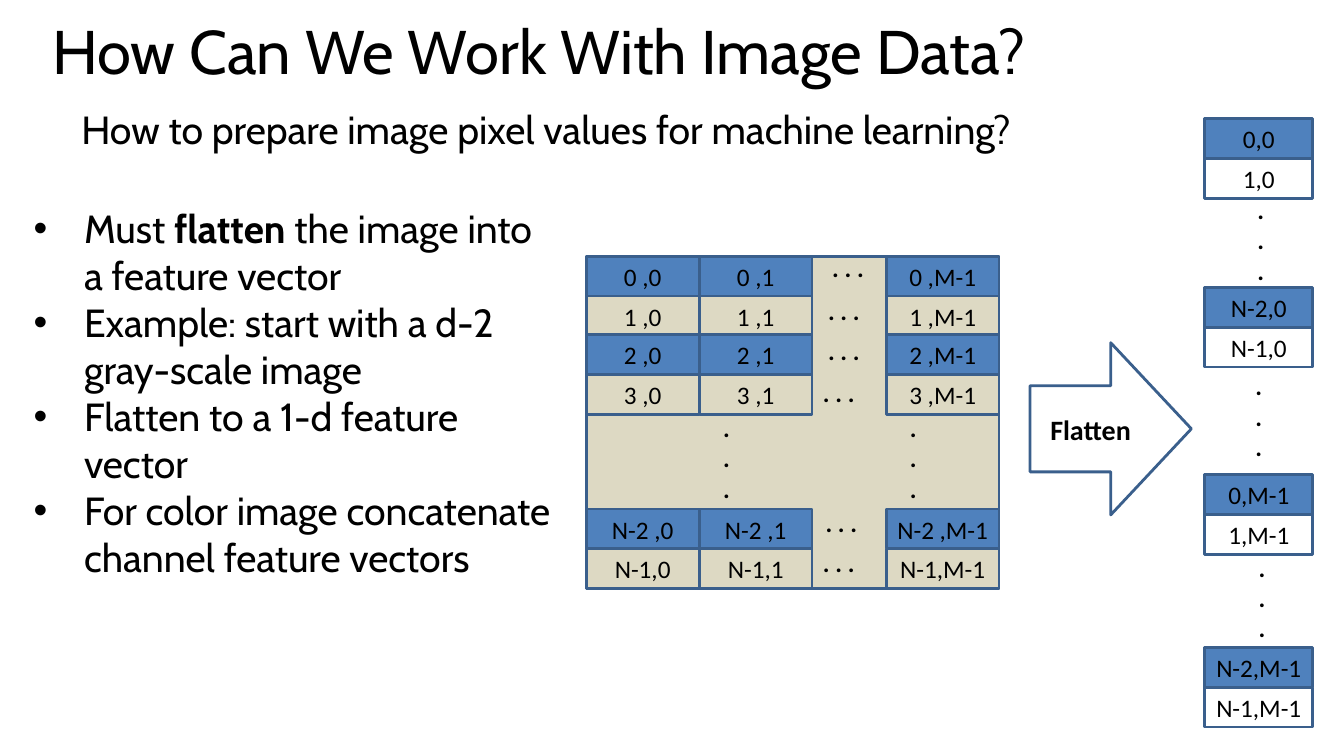
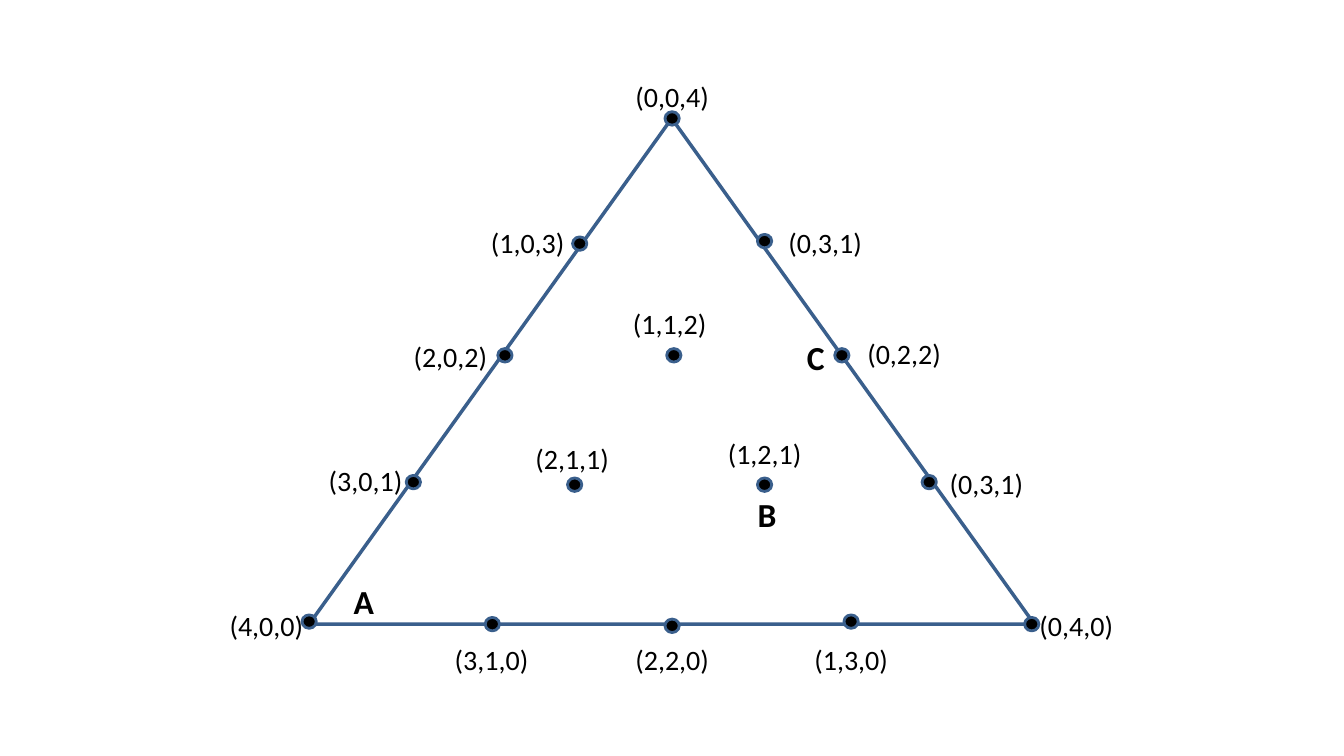
"""Builds two slides: flattening image data and a triangle of index triples."""
from dataclasses import dataclass
from itertools import product

from pptx import Presentation
from pptx import util as u
from pptx.dml.color import RGBColor
from pptx.enum import shapes, text


@dataclass(frozen=True)
class Theme:
    """Holds the colours, fonts, type sizes and line widths."""
    blue: str = "4F81BD"
    outline: str = "3A5F8C"
    sand: str = "DDD9C3"
    black: str = "000000"
    heading_font: str = "Cabin"
    label_font: str = "Calibri"
    title: int = 44
    body: int = 28
    letter: int = 24
    label: int = 20
    cell: int = 18
    line: float = 2
    thick: float = 2.5


THEME = Theme()
GRID = u.Inches(1 / 12)
CELL_HEIGHT = 4.75
MATRIX_LEFTS = (69.8, 83.25, 105.5)
MATRIX_WIDTH = 13.4
MATRIX_PAIR_TOPS = (30.5, 39.85, 60.6)
MATRIX_ROWS = (("0 ,", "1 ,"), ("2 ,", "3 ,"), ("N-2 ,", "N-1,"))
MATRIX_COLUMNS = ("0", "1", "M-1")
ROW_DOTS = ((96.6, 29.5), (96.1, 34.55), (96.1, 39.35),
            (95.5, 44.3), (95.8, 59.75), (95.5, 64.55))
VECTOR_LEFT, VECTOR_WIDTH = 143.4, 12.85
VECTOR_PAIR_TOPS = (14.15, 34.2, 56.5, 77.05)
VECTOR_ROWS = (("0,", "1,"), ("N-2,", "N-1,"))
COLUMN_DOTS = ((86.45, 48.5), (108.7, 48.5), (150.05, 22.55),
               (149.8, 43.55), (150.2, 65.15))
BULLETS = (
    (("Must ", False), ("flatten", True),
     (" the image into a feature vector", False)),
    (("Example: start with a d-2 gray-scale image", False),),
    (("Flatten to a 1-d feature vector", False),),
    (("For color image concatenate channel feature vectors", False),),
)
POINTS = (
    ("(0,0,4)", (80, 14.1), (80, 11.5)),
    ("(1,0,3)", (69, 29), (62.8, 28.8)),
    ("(2,0,2)", (60.1, 42.3), (53.6, 42.4)),
    ("(3,0,1)", (49.2, 57.4), (43.5, 57.2)),
    ("(4,0,0)", (36.8, 74), (31.7, 74.4)),
    ("(3,1,0)", (58.6, 74.3), (58.5, 78.5)),
    ("(2,2,0)", (80, 74.5), (80, 78.5)),
    ("(1,3,0)", (101.3, 74), (101.3, 78.5)),
    ("(0,4,0)", (122.8, 74.3), (128.1, 74.4)),
    ("(0,3,1)", (110.6, 57.4), (117.4, 57.5)),
    ("(0,2,2)", (100.2, 42.3), (107.6, 42.1)),
    ("(0,3,1)", (91, 28.7), (98.2, 28.8)),
    ("(1,1,2)", (80.2, 42.3), (79.7, 38.5)),
    ("(2,1,1)", (68.4, 57.7), (68.1, 54.6)),
    ("(1,2,1)", (91, 57.7), (91, 54)),
)
LETTERS = (("A", (43.3, 71.5)), ("B", (91.3, 61.2)), ("C", (97.1, 42.5)))


def place(left, top, width, height):
    """Turns grid columns and rows into lengths."""
    return [round(value * GRID) for value in (left, top, width, height)]


def around(centre, width, height):
    """Returns the grid box of a given size around a centre."""
    return centre[0] - width / 2, centre[1] - height / 2, width, height


def format_runs(frame, size, font, bold=None):
    """Gives every run of a text frame its font, size and colour."""
    for paragraph in frame.paragraphs:
        for run in paragraph.runs:
            run.font.name = font
            run.font.size = u.Pt(size)
            run.font.color.rgb = RGBColor.from_string(THEME.black)
            if bold is not None:
                run.font.bold = bold


def write(frame, words, size, font, bold=False,
          align=text.PP_ALIGN.CENTER, anchor=text.MSO_ANCHOR.MIDDLE):
    """Fills a text frame and aligns it."""
    frame.text = words
    frame.word_wrap = True
    frame.auto_size = text.MSO_AUTO_SIZE.NONE
    frame.vertical_anchor = anchor
    for paragraph in frame.paragraphs:
        paragraph.alignment = align
    format_runs(frame, size, font, bold)


def add_shape(slide, kind, box, fill=None, line=THEME.line):
    """Adds an outlined preset shape, hollow unless a fill is given."""
    shape = slide.shapes.add_shape(kind, *place(*box))
    shape.shadow.inherit = False
    shape.line.color.rgb = RGBColor.from_string(THEME.outline)
    shape.line.width = u.Pt(line)
    if fill:
        shape.fill.solid()
        shape.fill.fore_color.rgb = RGBColor.from_string(fill)
    else:
        shape.fill.background()
    return shape


def add_label(slide, words, box, size, bold=False,
              anchor=text.MSO_ANCHOR.MIDDLE):
    """Adds a centred text box without side margins."""
    frame = slide.shapes.add_textbox(*place(*box)).text_frame
    frame.margin_left = frame.margin_right = 0
    write(frame, words, size, THEME.label_font, bold, anchor=anchor)


def add_cell_pair(slide, left, top, width, labels):
    """Stacks a blue cell on a hollow one."""
    for row, (words, fill) in enumerate(zip(labels, (THEME.blue, None))):
        box = left, top + row * CELL_HEIGHT, width, CELL_HEIGHT
        frame = add_shape(slide, shapes.MSO_SHAPE.RECTANGLE, box, fill).text_frame
        frame.margin_left = frame.margin_right = 0
        frame.margin_top = frame.margin_bottom = 0
        write(frame, words, THEME.cell, THEME.label_font)


def add_title(slide, words):
    """Places and formats the slide title."""
    title = slide.shapes.title
    title.left, title.top, title.width, title.height = place(5, 2.6, 151.2, 10.2)
    write(title.text_frame, words, THEME.title, THEME.heading_font,
          align=text.PP_ALIGN.LEFT, anchor=text.MSO_ANCHOR.TOP)
    title.text_frame.paragraphs[0].line_spacing = 0.8


def add_bullets(slide, items):
    """Fills the body placeholder with a bulleted list."""
    body = slide.placeholders[1]
    body.left, body.top, body.width, body.height = place(2.8, 23.7, 64.5, 60.1)
    frame = body.text_frame
    frame.auto_size = text.MSO_AUTO_SIZE.NONE
    for index, item in enumerate(items):
        paragraph = frame.add_paragraph() if index else frame.paragraphs[0]
        paragraph.space_before = u.Pt(0)
        properties = paragraph._p.get_or_add_pPr()
        properties.set("marL", str(u.Inches(0.5)))
        properties.set("indent", str(-u.Inches(0.5)))
        for words, bold in item:
            run = paragraph.add_run()
            run.text = words
            run.font.bold = bold
    format_runs(frame, THEME.body, THEME.heading_font)


def add_matrix(slide):
    """Draws the image as a grid of pixel indices."""
    add_shape(slide, shapes.MSO_SHAPE.RECTANGLE, (69.8, 30.5, 49.1, 39.6), THEME.sand)
    for (left, column), (top, rows) in product(
            zip(MATRIX_LEFTS, MATRIX_COLUMNS), zip(MATRIX_PAIR_TOPS, MATRIX_ROWS)):
        add_cell_pair(slide, left, top, MATRIX_WIDTH, [row + column for row in rows])
    for left, top in ROW_DOTS:
        add_label(slide, ". . .", (left, top, 8.65, 4.8), THEME.cell, True,
                  text.MSO_ANCHOR.TOP)


def add_vector(slide):
    """Draws the flattened column of pixel indices."""
    groups = product(("0", "M-1"), VECTOR_ROWS)
    for top, (column, rows) in zip(VECTOR_PAIR_TOPS, groups):
        add_cell_pair(slide, VECTOR_LEFT, top, VECTOR_WIDTH,
                      [row + column for row in rows])


def build_flatten_slide(presentation):
    """Builds the slide on flattening an image."""
    slide = presentation.slides.add_slide(presentation.slide_layouts[1])
    add_title(slide, "How Can We Work With Image Data?")
    add_bullets(slide, BULLETS)
    question = slide.shapes.add_textbox(*place(8.5, 11.9, 120.7, 10.6))
    write(question.text_frame, "How to prepare image pixel values for machine learning?",
          THEME.body, THEME.heading_font,
          align=text.PP_ALIGN.LEFT, anchor=text.MSO_ANCHOR.TOP)
    add_matrix(slide)
    add_vector(slide)
    for centre, top in COLUMN_DOTS:
        add_label(slide, ".\n.\n.", (centre - 2, top, 4, 12.1), THEME.cell, True,
                  text.MSO_ANCHOR.TOP)
    arrow = add_shape(slide, shapes.MSO_SHAPE.RIGHT_ARROW, (122.6, 40.8, 19.2, 20.5))
    write(arrow.text_frame, "Flatten", THEME.label, THEME.label_font, True)


def build_triangle_slide(presentation):
    """Builds the slide with the triangle of index triples."""
    slide = presentation.slides.add_slide(presentation.slide_layouts[6])
    add_shape(slide, shapes.MSO_SHAPE.ISOSCELES_TRIANGLE, (36.8, 14.1, 86.3, 60.2),
              line=THEME.thick)
    for words, point, label in POINTS:
        add_shape(slide, shapes.MSO_SHAPE.OVAL, around(point, 1.7, 1.6), THEME.black)
        add_label(slide, words, around(label, 12.4, 5.3), THEME.label)
    for letter, centre in LETTERS:
        add_label(slide, letter, around(centre, 3.7, 6), THEME.letter, True)


def main():
    """Builds and saves the presentation."""
    presentation = Presentation()
    presentation.slide_width = u.Inches(13.33)
    presentation.slide_height = u.Inches(7.5)
    build_flatten_slide(presentation)
    build_triangle_slide(presentation)
    presentation.save("out.pptx")


if __name__ == "__main__":
    main()
